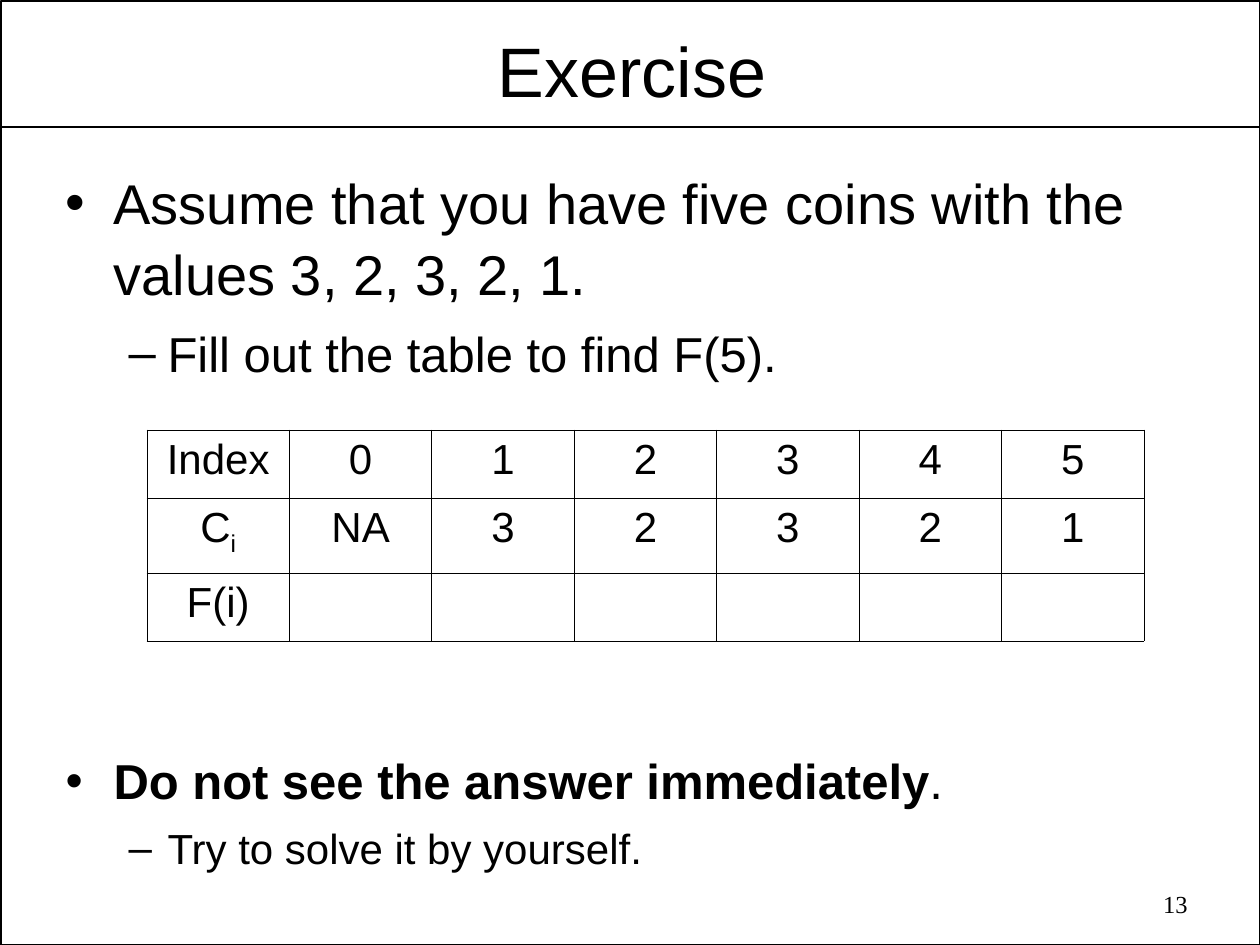
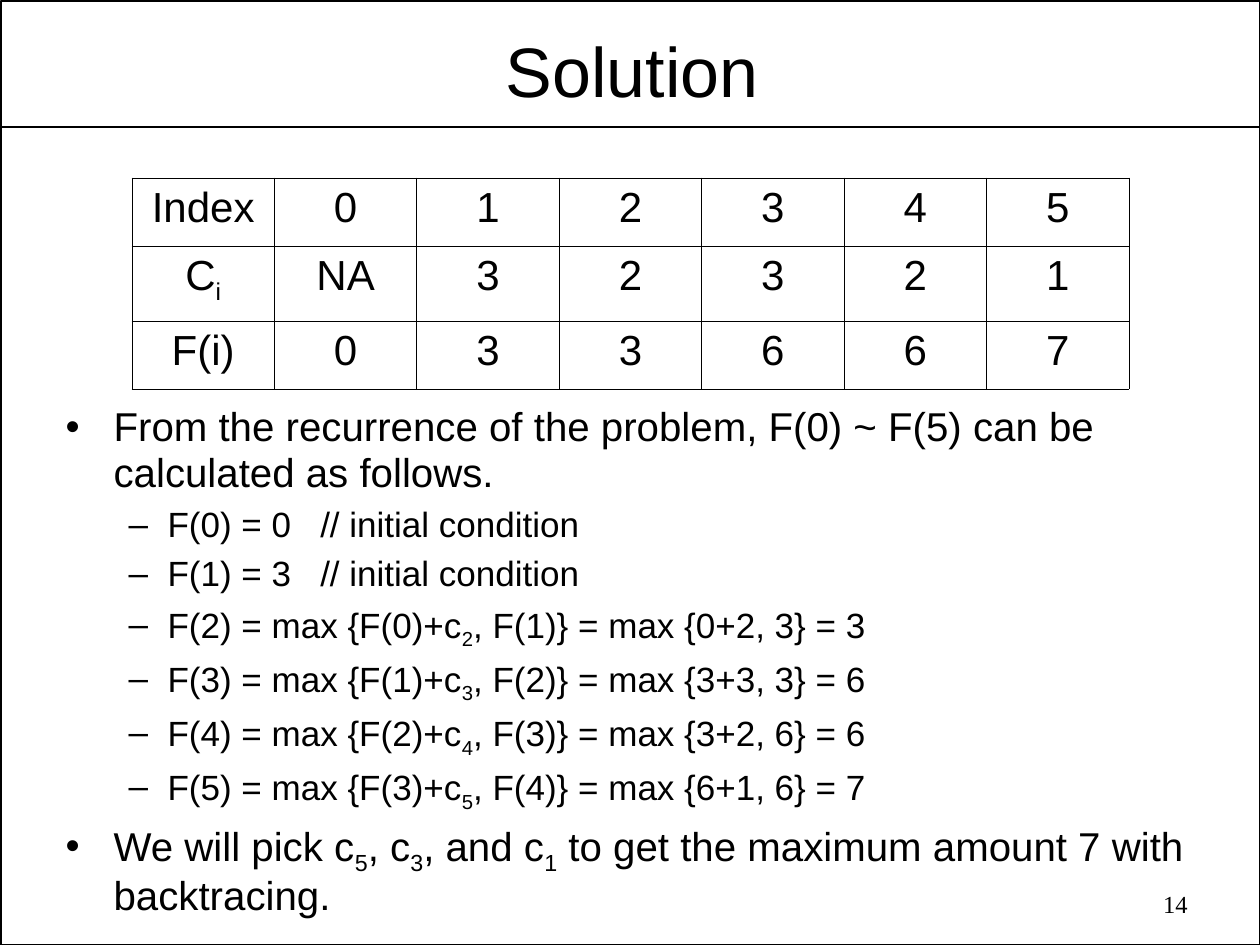
from lxml import etree
from pptx import Presentation
from pptx.dml.color import RGBColor
from pptx.enum.shapes import MSO_CONNECTOR, MSO_SHAPE
from pptx.enum.text import MSO_ANCHOR, MSO_AUTO_SIZE, PP_ALIGN
from pptx.oxml.ns import qn
from pptx.util import Emu, Pt

BLACK = RGBColor(0, 0, 0)
SANS = "Arial"
SERIF = "Times New Roman"
CENTER = PP_ALIGN.CENTER
RIGHT = PP_ALIGN.RIGHT
MIDDLE = MSO_ANCHOR.MIDDLE
TOP = MSO_ANCHOR.TOP
FIXED = MSO_AUTO_SIZE.NONE
RECTANGLE = MSO_SHAPE.RECTANGLE
STRAIGHT = MSO_CONNECTOR.STRAIGHT

PX_PER_INCH = 126
SLIDE_WIDTH, SLIDE_HEIGHT = 1260, 945
BAND_BOTTOM = 127
TITLE_BOX = (67, 24, 1130, 91)
NUMBER_BOX = (905, 883, 295, 45)
TABLE_SIZE = (997, 211)
ROW_HEIGHTS = (68, 75, 68)
BORDER_EMU = 5715
# Left margin and hanging indent of each list level
LEVEL_INDENTS = ((48, -48), (102, -39))

INDEX_ROW = ["Index", "0", "1", "2", "3", "4", "5"]
COIN_ROW = ["C|i", "NA", "3", "2", "3", "2", "1"]

# List items: level, text, size, space before; "|" encloses marked text
EXERCISE_ITEMS = [
    (0, "Assume that you have five coins with the values 3, 2, 3, 2, 1.", 32, 0),
    (1, "Fill out the table to find F(5).", 28, 8),
    (0, "|Do not see the answer immediately|.", 28, 209),
    (1, "Try to solve it by yourself.", 24, 6),
]
SOLUTION_STEPS = [
    "F(0) = 0   // initial condition",
    "F(1) = 3   // initial condition",
    "F(2) = max {F(0)+c|2|, F(1)} = max {0+2, 3} = 3",
    "F(3) = max {F(1)+c|3|, F(2)} = max {3+3, 3} = 6",
    "F(4) = max {F(2)+c|4|, F(3)} = max {3+2, 6} = 6",
    "F(5) = max {F(3)+c|5|, F(4)} = max {6+1, 6} = 7",
]
SOLUTION_ITEMS = [
    (0, "From the recurrence of the problem, F(0) ~ F(5) can be calculated "
        "as follows.", 23, 0),
    *[(1, step, 20, 5) for step in SOLUTION_STEPS],
    (0, "We will pick c|5|, c|3|, and c|1| to get the maximum amount 7 with "
        "backtracing.", 23, 6),
]


def px(length):
    return Emu(round(length * 914400 / PX_PER_INCH))


def place(shape, box):
    shape.left, shape.top, shape.width, shape.height = map(px, box)


def style_font(font, size, name=SANS):
    font.name = name
    font.size = Pt(size)
    font.color.rgb = BLACK


def mark_subscript(run):
    run._r.get_or_add_rPr().set("baseline", "-25000")


def mark_bold(run):
    run.font.bold = True


def write_marked_text(paragraph, text, size, mark=mark_subscript):
    """Write text as runs, marking every part enclosed in bars."""
    for position, part in enumerate(text.split("|")):
        if part:
            run = paragraph.add_run()
            run.text = part
            style_font(run.font, size)
            if position % 2:
                mark(run)


def add_frame(slide):
    """Draw the frame and title rule and hand them to the shared layout."""
    frame = slide.shapes.add_shape(
        RECTANGLE, px(1), px(1), px(SLIDE_WIDTH - 1), px(SLIDE_HEIGHT - 1))
    frame.fill.background()
    frame.shadow.inherit = False
    rule = slide.shapes.add_connector(
        STRAIGHT, px(1), px(BAND_BOTTOM), px(SLIDE_WIDTH - 1), px(BAND_BOTTOM))
    etree.SubElement(rule.element.spPr, qn("a:effectLst"))

    layout_tree = slide.slide_layout.shapes.element
    for index, shape in enumerate((frame, rule)):
        shape.line.color.rgb = BLACK
        shape.line.width = Pt(1)
        layout_tree.insert(2 + index, shape.element)


def add_title(slide, text):
    title = slide.shapes.title
    place(title, TITLE_BOX)
    frame = title.text_frame
    frame.text = text
    frame.auto_size = FIXED
    frame.vertical_anchor = MIDDLE
    paragraph = frame.paragraphs[0]
    paragraph.alignment = CENTER
    style_font(paragraph.runs[0].font, 40)


def add_page_number(slide, number):
    text_box = slide.shapes.add_textbox(*map(px, NUMBER_BOX))
    frame = text_box.text_frame
    frame.word_wrap = True
    frame.text = str(number)
    paragraph = frame.paragraphs[0]
    paragraph.alignment = RIGHT
    style_font(paragraph.runs[0].font, 14, SERIF)


def fill_list(slide, box, items, line_spacing, mark=mark_subscript):
    body = slide.placeholders[1]
    place(body, box)
    frame = body.text_frame
    frame.auto_size = FIXED
    frame.vertical_anchor = TOP
    for index, (level, text, size, space_before) in enumerate(items):
        paragraph = frame.add_paragraph() if index else frame.paragraphs[0]
        paragraph.level = level
        paragraph.line_spacing = line_spacing
        paragraph.space_before = Pt(space_before)
        margin, indent = LEVEL_INDENTS[level]
        properties = paragraph._p.get_or_add_pPr()
        properties.set("marL", str(px(margin)))
        properties.set("indent", str(px(indent)))
        write_marked_text(paragraph, text, size, mark)


def add_borders(cell):
    properties = cell._tc.get_or_add_tcPr()
    for index, side in enumerate(("lnL", "lnR", "lnT", "lnB")):
        line = etree.Element(qn(f"a:{side}"), w=str(BORDER_EMU))
        fill = etree.SubElement(line, qn("a:solidFill"))
        etree.SubElement(fill, qn("a:srgbClr"), val=str(BLACK))
        properties.insert(index, line)


def add_coin_table(slide, left, top, values):
    rows = [INDEX_ROW, COIN_ROW, ["F(i)", *values]]
    column_count = len(INDEX_ROW)
    table = slide.shapes.add_table(
        len(rows), column_count, px(left), px(top), *map(px, TABLE_SIZE)).table
    table.first_row = False
    table.horz_banding = False
    for column in table.columns:
        column.width = px(TABLE_SIZE[0] / column_count)
    for row, height in zip(table.rows, ROW_HEIGHTS):
        row.height = px(height)

    for row_index, texts in enumerate(rows):
        for column_index, text in enumerate(texts):
            cell = table.cell(row_index, column_index)
            cell.fill.background()
            add_borders(cell)
            if column_index == 0:
                cell.margin_left = cell.margin_right = px(9)
            paragraph = cell.text_frame.paragraphs[0]
            paragraph.alignment = CENTER
            style_font(paragraph.font, 24)
            write_marked_text(paragraph, text, 24)


def add_exercise_slide(slide):
    add_title(slide, "Exercise")
    fill_list(slide, (53, 159, 1155, 725), EXERCISE_ITEMS, 1.05, mark_bold)
    add_page_number(slide, 13)
    add_coin_table(slide, 147, 430, [""] * 6)


def add_solution_slide(slide):
    add_title(slide, "Solution")
    add_page_number(slide, 14)
    add_coin_table(slide, 132, 178, ["0", "3", "3", "6", "6", "7"])
    fill_list(slide, (53, 399, 1155, 514), SOLUTION_ITEMS, 0.95)


def main():
    presentation = Presentation()
    presentation.slide_width = px(SLIDE_WIDTH)
    presentation.slide_height = px(SLIDE_HEIGHT)

    # Keep only the title and body placeholders on the shared layout
    layout = presentation.slide_layouts[1]
    for placeholder in list(layout.placeholders):
        if placeholder.placeholder_format.idx > 1:
            layout.shapes.element.remove(placeholder.element)

    exercise = presentation.slides.add_slide(layout)
    add_frame(exercise)
    add_exercise_slide(exercise)
    add_solution_slide(presentation.slides.add_slide(layout))
    presentation.save("out.pptx")


if __name__ == "__main__":
    main()
